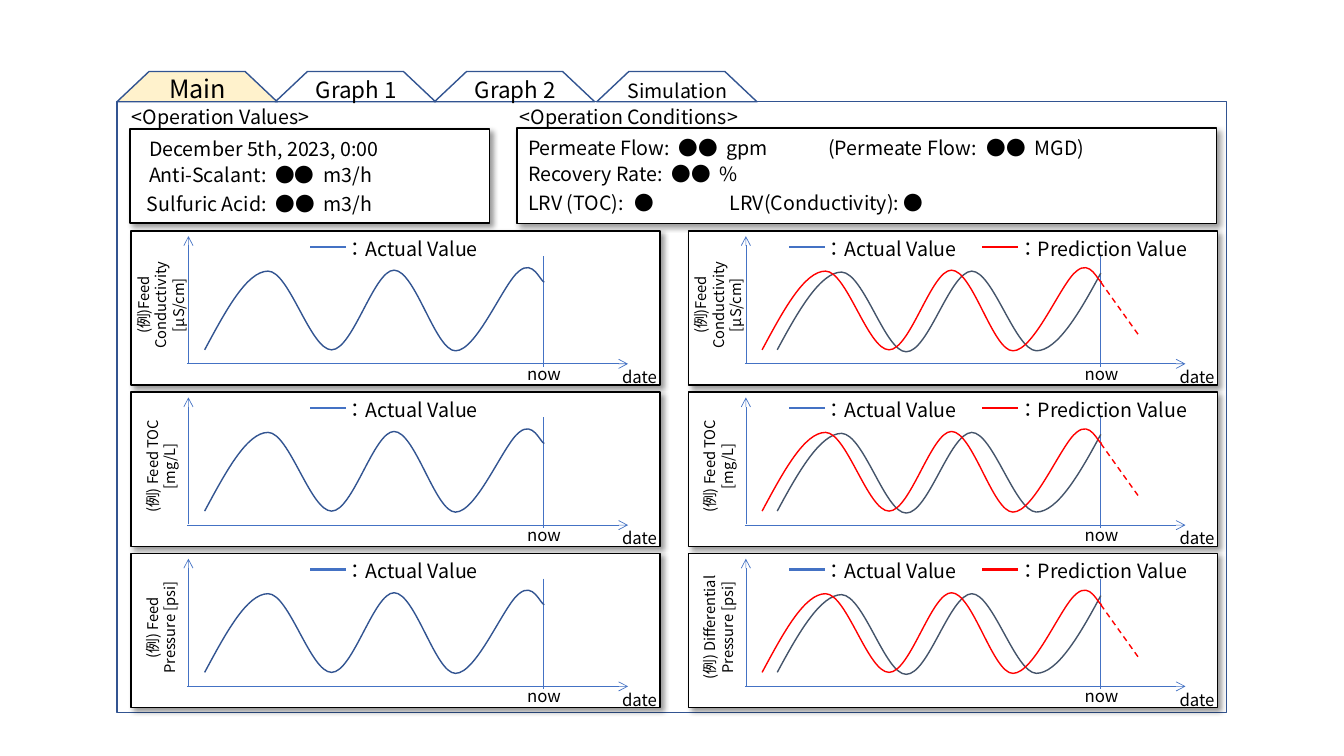
from dataclasses import dataclass
from lxml import etree
from pptx import Presentation
from pptx.dml.color import RGBColor
from pptx.enum.dml import MSO_LINE
from pptx.enum.lang import MSO_LANGUAGE_ID
from pptx.enum.shapes import MSO_CONNECTOR, MSO_SHAPE
from pptx.enum.text import MSO_AUTO_SIZE, PP_ALIGN
from pptx.oxml.ns import qn
from pptx.util import Pt


@dataclass(frozen=True)
class Theme:
    font: str = "Noto Sans CJK JP"
    black: str = "000000"
    white: str = "FFFFFF"
    outline: str = "325491"
    axis: str = "4472C4"
    selected: str = "FFF2CC"
    past: str = "44546A"
    prediction: str = "FF0000"
    body: float = 14
    small: float = 12
    label: float = 10.5


T = Theme()

TABS = [("Main", 83.5, 18, T.selected), ("Graph 1", 196.6, 16, None),
        ("Graph 2", 310.3, 16, None), ("Simulation", 426.2, 14, None)]
HEADINGS = [("<Operation Values>", 87.1), ("<Operation Conditions>", 364.3)]
CARDS = [(92.9, 92.2, 257, 67), (369.4, 91.4, 499.7, 68.4)]
READINGS = [
    ("December 5th, 2023, 0:00", 99.4, 94.3, 234.7, []),
    ("Anti-Scalant:\t●●\tm3/h", 99.4, 113, 234.7, [90.2, 124.5]),
    ("Sulfuric Acid:\t●●\tm3/h", 97.9, 133.2, 234.7, [91.8, 126.1]),
    ("Permeate Flow:\t●●\tgpm", 370.1, 93.6, 234.7, [107.6, 141.9]),
    ("(Permeate Flow:\t●●\tMGD)", 584.6, 93.6, 234.7, [113.1, 147.4]),
    ("Recovery Rate:\t●●\t%", 370.1, 112.3, 234.7, [102.5, 136.8]),
    ("LRV (TOC):\t●\tLRV(Conductivity): ●", 370.1, 132.5, 393.8, [75.7, 144]),
]
ACTUAL, PREDICTION = "：Actual Value", "：Prediction Value"
COLUMNS = [
    (["(例)Feed Conductivity [μS/cm]", "(例) Feed TOC [mg/L]",
      "(例) Feed Pressure [psi]"],
     [(ACTUAL, 127.9, T.axis)]),
    (["(例)Feed Conductivity [μS/cm]", "(例) Feed TOC [mg/L]",
      "(例) Differential Pressure [psi]"],
     [(ACTUAL, 71.8, T.axis), (PREDICTION, 210, T.prediction)]),
]
WAVE = [(52.6, 85),
        (67.7, 56.9), (82.8, 28.8), (97.9, 28.8),
        (113, 28.8), (128.2, 85), (143.3, 85),
        (158.4, 85), (173.5, 28.1), (187.9, 28.1),
        (203, 28.1), (217.4, 85.7), (231.8, 85.7),
        (247, 85.7), (266.4, 36.7), (277.2, 28.8),
        (287.3, 20.2), (292.3, 36), (295.2, 36.7)]
DELAYED_WAVE = [(63.4, 85),
                (78.5, 56.9), (94.3, 29.5), (109.4, 29.5),
                (125.3, 30.2), (140.4, 86.4), (155.5, 86.4),
                (171.4, 86.4), (186.5, 29.5), (202.3, 28.8),
                (217.4, 28.8), (233.3, 85), (248.4, 85.7),
                (263.5, 85.7), (279.4, 58.3), (294.5, 30.2)]
FORECAST = [(294.5, 36.7), (322.3, 75.6)]

PANEL_X, PANEL_Y, PANEL_W, PANEL_H = 93.6, 164.9, 378, 110.2
COLUMN_STEP, ROW_STEP = 398.2, 115.2
TAB_Y, TAB_W, TAB_H, TAB_TEXT_BOTTOM = 51.1, 114.5, 21.6, 77.4


def rgb(value):
    return RGBColor.from_string(value)


def sub(parent, tag, **attrs):
    return etree.SubElement(parent, qn(tag), attrs)


def add_box(s, kind, x, y, w, h, line, fill=None, shadow=False):
    sp = s.shapes.add_shape(kind, Pt(x), Pt(y), Pt(w), Pt(h))
    sp.shadow.inherit = False
    if fill:
        sp.fill.solid()
        sp.fill.fore_color.rgb = rgb(fill)
    else:
        sp.fill.background()
    sp.line.color.rgb = rgb(line)
    sp.line.width = Pt(1)
    if shadow:
        effects = sp._element.spPr.find(qn("a:effectLst"))
        outer = sub(effects, "a:outerShdw", blurRad=str(Pt(4)), dist=str(Pt(3)),
                    dir="2700000", algn="tl", rotWithShape="0")
        color = sub(outer, "a:srgbClr", val=T.black)
        sub(color, "a:alpha", val="40000")
    return sp


def add_text(s, text, x, y, w, size, h=None, center=False, stops=()):
    sp = s.shapes.add_textbox(Pt(x), Pt(y), Pt(w), Pt(h or size * 1.1 + 9))
    tf = sp.text_frame
    tf.word_wrap = True
    tf.auto_size = MSO_AUTO_SIZE.SHAPE_TO_FIT_TEXT
    tf.text = text
    p = tf.paragraphs[0]
    if center:
        p.alignment = PP_ALIGN.CENTER
    if stops:
        tabs = sub(p._p.get_or_add_pPr(), "a:tabLst")
        for stop in stops:
            sub(tabs, "a:tab", pos=str(Pt(stop)), algn="l")
    for r in p.runs:
        r.font.size = Pt(size)
        r.font.color.rgb = rgb(T.black)
        r.font.name = T.font
        r.font.language_id = MSO_LANGUAGE_ID.JAPANESE
        sub(r._r.get_or_add_rPr(), "a:ea", typeface=T.font)
    return sp


def add_line(s, x1, y1, x2, y2, color, width=0.5, arrow=False):
    cn = s.shapes.add_connector(MSO_CONNECTOR.STRAIGHT, Pt(x1), Pt(y1), Pt(x2), Pt(y2))
    cn.line.color.rgb = rgb(color)
    cn.line.width = Pt(width)
    if arrow:
        sub(cn.line._get_or_add_ln(), "a:tailEnd", type="arrow")
    sub(cn._element.spPr, "a:effectLst")


def add_path(s, points, x, y, color):
    points = [(Pt(x + px), Pt(y + py)) for px, py in points]
    builder = s.shapes.build_freeform(*points[0])
    builder.add_line_segments(points[1:], close=False)
    sp = builder.convert_to_shape()
    sp.shadow.inherit = False
    sp.fill.background()
    sp.line.color.rgb = rgb(color)
    sp.line.width = Pt(1)
    return sp


def add_curve(s, points, x, y, color):
    sp = add_path(s, points[::3], x, y, color)
    for i, segment in enumerate(list(sp._element.iter(qn("a:lnTo")))):
        segment.tag = qn("a:cubicBezTo")
        for j, (px, py) in enumerate(points[3 * i + 1:3 * i + 3]):
            pt = etree.Element(qn("a:pt"), x=str(Pt(x + px) - sp.left),
                               y=str(Pt(y + py) - sp.top))
            segment.insert(j, pt)


def add_panel(s, x, y, label, legend):
    add_box(s, MSO_SHAPE.RECTANGLE, x, y, PANEL_W, PANEL_H, T.black, T.white, True)
    add_line(s, x + 40.3, y + 95, x + 355, y + 95, T.axis, arrow=True)
    add_line(s, x + 41, y + 94.5, x + 41, y + 3.8, T.axis, arrow=True)
    add_line(s, x + 294.5, y + 18, x + 294.5, y + 97.2, T.axis)
    add_text(s, "date", x + 343.7, y + 93.6, 59.8, T.small)
    add_text(s, "now", x + 275.6, y + 91, 38.9, T.small, center=True)
    label_h = 45.4 if "Conductivity" in label else 32.4
    sp = add_text(s, label, x - 27, y + 53 - label_h / 2, 97.2, T.label,
                  h=label_h, center=True)
    sp.rotation = 270
    for name, left, color in legend:
        add_line(s, x + left, y + 11.5, x + left + 25.7, y + 11.5, color, 1.5)
        add_text(s, name, x + left + 18.5, y + 0.7, 150, T.body)
    if len(legend) == 1:
        add_curve(s, WAVE, x, y, T.outline)
    else:
        add_curve(s, DELAYED_WAVE, x, y, T.past)
        add_curve(s, WAVE, x, y, T.prediction)
        forecast = add_path(s, FORECAST, x, y, T.prediction)
        forecast.line.dash_style = MSO_LINE.DASH


def main():
    prs = Presentation()
    prs.slide_width, prs.slide_height = Pt(960), Pt(540)
    s = prs.slides.add_slide(prs.slide_layouts[6])
    add_box(s, MSO_SHAPE.RECTANGLE, 83.5, 72.7, 792.7, 436.3, T.outline)
    for name, x, size, fill in TABS:
        sp = add_box(s, MSO_SHAPE.FLOWCHART_MANUAL_OPERATION, x, TAB_Y, TAB_W, TAB_H,
                     T.outline, fill)
        sp.rotation = 180
        h = size * 1.1 + 9
        add_text(s, name, x + 0.5, TAB_TEXT_BOTTOM - h, TAB_W, size, center=True)
    for card in CARDS:
        add_box(s, MSO_SHAPE.RECTANGLE, *card, T.black, T.white, True)
    for text, x in HEADINGS:
        add_text(s, text, x, 71.3, 207.4, T.body)
    for text, x, y, w, stops in READINGS:
        add_text(s, text, x, y, w, T.body, stops=stops)
    for column, (labels, legend) in enumerate(COLUMNS):
        for row, label in enumerate(labels):
            add_panel(s, PANEL_X + column * COLUMN_STEP, PANEL_Y + row * ROW_STEP,
                      label, legend)
    prs.save("out.pptx")


if __name__ == "__main__":
    main()
